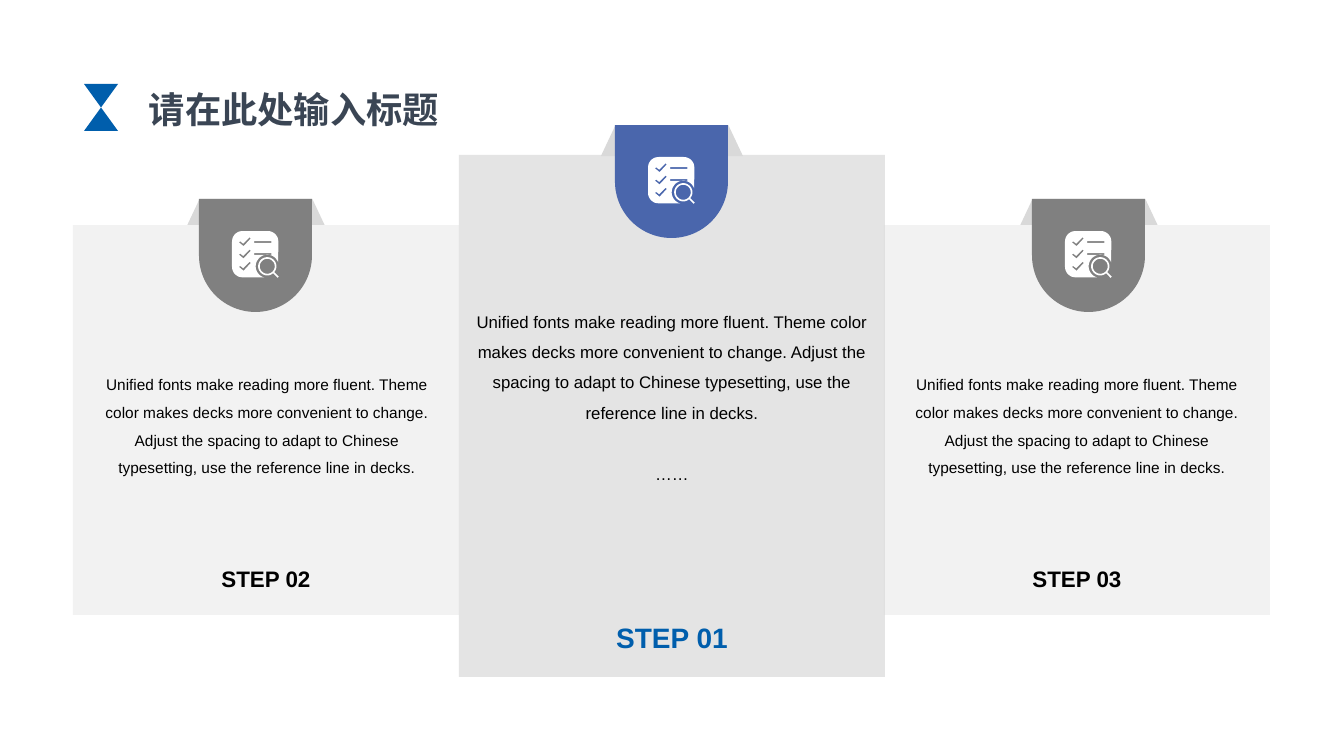
import math

import lxml.etree
import pptx
import pptx.dml.color
import pptx.enum.shapes
import pptx.enum.text
import pptx.oxml.ns
import pptx.util

PX = 914400 / 100.8
COLORS = {
    "title": "3A4554",
    "accent": "005EAC",
    "badge": "4A66AC",
    "muted_badge": "808080",
    "fold": "D9D9D9",
    "side_card": "F2F2F2",
    "main_card": "D9D9D9",
    "text": "000000",
    "icon": "FFFFFF",
}
SHAPES = pptx.enum.shapes.MSO_SHAPE
ANCHOR = pptx.enum.text.MSO_ANCHOR
CENTER = pptx.enum.text.PP_ALIGN.CENTER
BODY = (
    "Unified fonts make reading more fluent. Theme color makes decks more "
    "convenient to change. Adjust the spacing to adapt to Chinese typesetting, "
    "use the reference line in decks."
)
SIDE = {
    "card_color": "side_card", "opacity": 100, "badge_color": "muted_badge",
    "label_color": "text", "label_size": 16, "body_size": 11,
    "body_bottom": 33, "paragraphs": [BODY],
}
STEPS = [
    SIDE | {"label": "STEP 03", "card": (884, 225, 386, 390),
            "badge": (1032, 199), "body": (902, 324, 350, 223)},
    SIDE | {"label": "STEP 02", "card": (73, 225, 386, 390),
            "badge": (199, 199), "body": (92, 324, 350, 223)},
    {"label": "STEP 01", "card": (459, 155, 426, 522),
     "badge": (615, 125), "body": (459, 281, 426, 223),
     "card_color": "main_card", "opacity": 70, "badge_color": "badge",
     "label_color": "accent", "label_size": 20, "body_size": 12,
     "body_bottom": 5, "paragraphs": [BODY, "……"]},
]


def px(length):
    return pptx.util.Emu(round(length * PX))


def rgb(name):
    return pptx.dml.color.RGBColor.from_string(COLORS[name])


def apply(target, formats):
    for attribute, value in formats.items():
        setattr(target, attribute, value)


def paint(shape, color):
    shape.shadow.inherit = False
    shape.fill.solid()
    shape.fill.fore_color.rgb = rgb(color)
    shape.line.fill.background()


def add_block(slide, preset, box, color, adjustments=()):
    block = slide.shapes.add_shape(preset, *map(px, box))
    paint(block, color)
    for index, value in enumerate(adjustments):
        block.adjustments[index] = value
    return block


def write(shape, paragraphs, size, color, anchor, bottom=5, bold=False,
          spacing=1.0, gap=0, font="Arial"):
    """Fill a shape with centred paragraphs; gap is the space between them."""
    frame = shape.text_frame
    apply(frame, {"word_wrap": True, "vertical_anchor": anchor,
                  "margin_bottom": px(bottom)})
    for index, text in enumerate(paragraphs):
        paragraph = frame.add_paragraph() if index else frame.paragraphs[0]
        apply(paragraph, {"alignment": CENTER, "line_spacing": spacing})
        if index:
            paragraph.space_before = pptx.util.Pt(gap)
        run = paragraph.add_run()
        run.text = text
        apply(run.font, {"size": pptx.util.Pt(size), "bold": bold, "name": font})
        run.font.color.rgb = rgb(color)


def set_opacity(shape, percent):
    color = shape.fill._xPr.find(".//" + pptx.oxml.ns.qn("a:srgbClr"))
    alpha = lxml.etree.SubElement(color, pptx.oxml.ns.qn("a:alpha"))
    alpha.set("val", str(percent * 1000))


def arc(x, y, radius, start, end):
    """Points along an arc, with angles in degrees clockwise from the right."""
    steps = max(8, abs(end - start) // 10)
    angles = (math.radians(start + (end - start) * i / steps)
              for i in range(steps + 1))
    return [(round(x + radius * math.cos(a)), round(y + radius * math.sin(a)))
            for a in angles]


def checklist_contours():
    """Outlines of the checklist and magnifier, in tenths of a px."""
    side, corner, lens = 464, 107, 353
    far = side - corner
    sheet = (arc(corner, corner, corner, 180, 270)
             + arc(far, corner, corner, 270, 360)
             + arc(lens, lens, 116, -20, -255)
             + arc(corner, far, corner, 90, 180))
    tick = [(176, 62), (112, 127), (82, 103), (70, 114), (116, 152), (188, 74)]
    ticks = [[(x, y + 123 * row) for x, y in tick] for row in range(3)]
    dashes = [[(222, y), (393, y), (393, y + 16), (222, y + 16)]
              for y in (102, 222)]
    rings = [arc(lens, lens, radius, 0, 360) for radius in (91, 75)]
    handle = [(423, 411), (468, 456), (456, 468), (411, 423)]
    return [sheet, *ticks, *dashes, *rings, handle]


def add_checklist(slide, left, top):
    contours = checklist_contours()
    builder = slide.shapes.build_freeform(*contours[0][0], scale=PX / 10)
    for index, contour in enumerate(contours):
        if index:
            builder.move_to(*contour[0])
        builder.add_line_segments(contour[1:], close=True)
    paint(builder.convert_to_shape(px(left), px(top)), "icon")


def add_card(slide, step):
    card = add_block(slide, SHAPES.RECTANGLE, step["card"], step["card_color"])
    if step["opacity"] < 100:
        set_opacity(card, step["opacity"])
    write(card, [step["label"]], step["label_size"], step["label_color"],
          ANCHOR.BOTTOM, bottom=23, bold=True)


def add_badge(slide, step):
    left, top = step["badge"]
    add_block(slide, SHAPES.ROUND_2_SAME_RECTANGLE, (left, top, 113, 113),
              step["badge_color"], (0, 0.5))
    add_checklist(slide, left + 33, top + 32)


def add_fold(slide, step):
    left, top = step["badge"]
    add_block(slide, SHAPES.TRAPEZOID, (left - 14, top, 142, 31), "fold", (0.47,))


def add_body(slide, step):
    body = slide.shapes.add_textbox(*map(px, step["body"]))
    write(body, step["paragraphs"], step["body_size"], "text", ANCHOR.MIDDLE,
          bottom=step["body_bottom"], spacing=1.5, gap=22)


def add_title(slide, text):
    title = slide.shapes.title
    apply(title, dict(zip(("left", "top", "width", "height"),
                          map(px, (118, 85, 352, 48)))))
    font = "Noto Sans CJK SC"
    write(title, [text], 25.9, "title", ANCHOR.MIDDLE, bold=True, font=font)
    apply(title.text_frame, {
        "word_wrap": False, "margin_left": 0, "margin_right": 0,
        "auto_size": pptx.enum.text.MSO_AUTO_SIZE.NONE})
    properties = title.text_frame.paragraphs[0].runs[0].font._element
    east_asian = lxml.etree.SubElement(properties, pptx.oxml.ns.qn("a:ea"))
    east_asian.set("typeface", font)


def main():
    deck = pptx.Presentation()
    apply(deck, {"slide_width": px(1344), "slide_height": px(756)})
    slide = deck.slides.add_slide(deck.slide_layouts[5])
    add_title(slide, "请在此处输入标题")
    for add_part in (add_fold, add_card, add_badge, add_body):
        for step in STEPS:
            add_part(slide, step)
    add_block(slide, SHAPES.FLOWCHART_COLLATE, (84, 84, 34, 47), "accent")
    deck.save("out.pptx")


if __name__ == "__main__":
    main()
